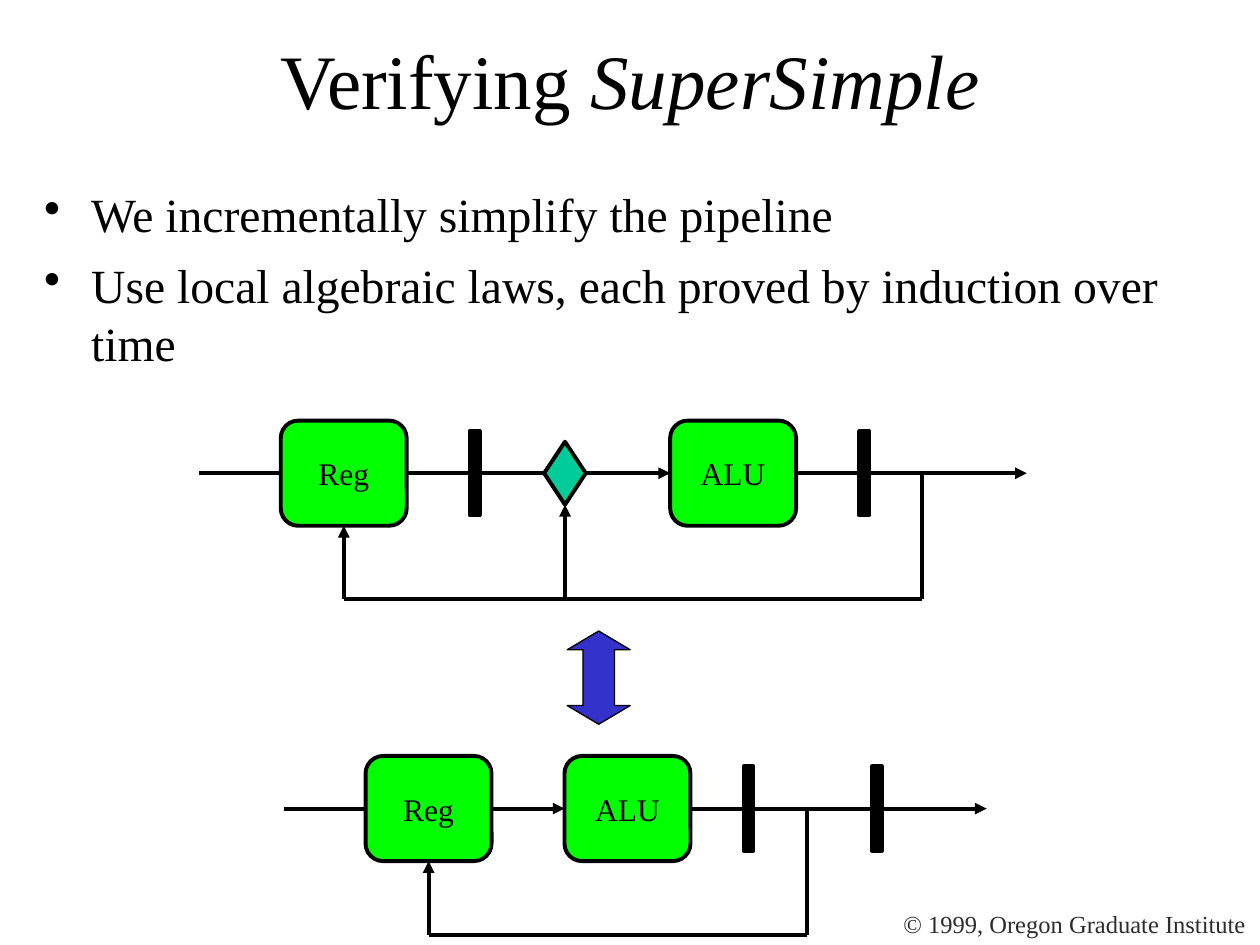
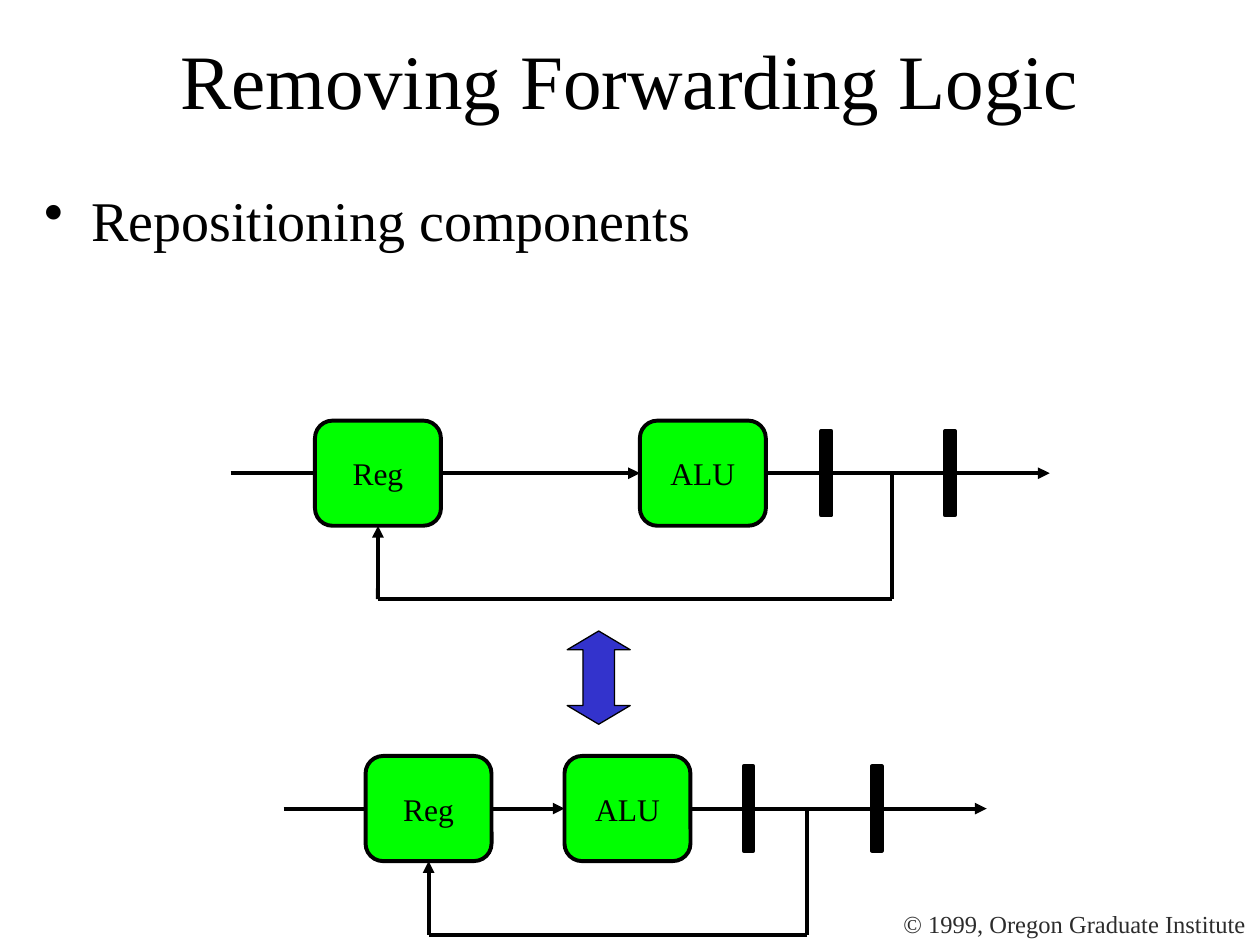
from dataclasses import dataclass

from lxml import etree
from pptx import Presentation
from pptx.dml.color import RGBColor
from pptx.enum.shapes import MSO_CONNECTOR, MSO_SHAPE
from pptx.enum.text import MSO_ANCHOR, MSO_AUTO_SIZE, PP_ALIGN
from pptx.oxml.ns import qn
from pptx.util import Cm, Pt

STRAIGHT = MSO_CONNECTOR.STRAIGHT
ROUNDED, RECTANGLE = MSO_SHAPE.ROUNDED_RECTANGLE, MSO_SHAPE.RECTANGLE
DIAMOND, DOUBLE_ARROW = MSO_SHAPE.DIAMOND, MSO_SHAPE.LEFT_RIGHT_ARROW
TOP, MIDDLE = MSO_ANCHOR.TOP, MSO_ANCHOR.MIDDLE
LEFT, CENTER = PP_ALIGN.LEFT, PP_ALIGN.CENTER
FIT_SHAPE = MSO_AUTO_SIZE.SHAPE_TO_FIT_TEXT
LEFT_SIDE, BOTTOM_SIDE, RIGHT_SIDE = 1, 2, 3

# Lengths in centimetres
SLIDE_W, SLIDE_H = 25.4, 19.05
UPPER_AXIS, LOWER_AXIS = 9.54, 16.3
UNIT_W, UNIT_H = 2.54, 2.12
LATCH_W, LATCH_H = 0.2, 1.7
MUX_W, MUX_H = 0.84, 1.27
FEEDBACK_DROP = 2.54
BULLET_INDENT = 0.95


@dataclass(frozen=True)
class Theme:
    font: str = "Times New Roman"
    ink: str = "000000"
    footer_ink: str = "2C2C2C"
    unit: str = "01FF01"
    mux: str = "00CC99"
    equivalence: str = "3333CC"
    title_size: float = 44
    body_size: float = 32
    small_body_size: float = 27.2
    label_size: float = 18
    footer_size: float = 14
    wire: float = 2.25
    thin: float = 0.75


def add_bullet(paragraph, color):
    properties = paragraph._p.get_or_add_pPr()
    properties.set("marL", str(Cm(BULLET_INDENT)))
    properties.set("indent", str(-Cm(BULLET_INDENT)))
    bullet_color = etree.SubElement(properties, qn("a:buClr"))
    etree.SubElement(bullet_color, qn("a:srgbClr"), val=color)
    etree.SubElement(properties, qn("a:buChar"), char="•")


class Deck:
    def __init__(self, theme):
        self.theme = theme
        self.presentation = Presentation()
        self.presentation.slide_width = Cm(SLIDE_W)
        self.presentation.slide_height = Cm(SLIDE_H)
        self.slide = None

    def new_slide(self, title, points, body_size):
        blank = self.presentation.slide_layouts[6]
        self.slide = self.presentation.slides.add_slide(blank)
        theme = self.theme
        footer = self.text_box(17.96, 18.21, 7.42, 0.86,
                               ["© 1999, Oregon Graduate Institute"], wrap=False,
                               size=theme.footer_size, color=theme.footer_ink)
        footer.text_frame.auto_size = FIT_SHAPE
        self.text_box(1.9, 0, 21.6, 3.18, [title], size=theme.title_size,
                      align=CENTER, anchor=MIDDLE)
        self.text_box(0.64, 3.61, 24.13, 4.24, points, size=body_size,
                      bullets=True, gap=8)

    def set_text(self, frame, paragraphs, *, size, color=None, align=LEFT,
                 anchor=TOP, wrap=True, bullets=False, gap=0):
        """Fill a frame; a paragraph is a string or a list of (text, italic) runs."""
        color = color or self.theme.ink
        frame.word_wrap = wrap
        frame.vertical_anchor = anchor
        for index, content in enumerate(paragraphs):
            paragraph = frame.add_paragraph() if index else frame.paragraphs[0]
            if bullets:
                add_bullet(paragraph, color)
            paragraph.alignment = align
            paragraph.space_before = Pt(gap if index else 0)
            runs = [(content, False)] if isinstance(content, str) else content
            for words, italic in runs:
                run = paragraph.add_run()
                run.text = words
                run.font.name = self.theme.font
                run.font.size = Pt(size)
                run.font.italic = italic
                run.font.color.rgb = RGBColor.from_string(color)

    def text_box(self, left, top, width, height, paragraphs, **text_format):
        box = self.slide.shapes.add_textbox(Cm(left), Cm(top), Cm(width), Cm(height))
        self.set_text(box.text_frame, paragraphs, **text_format)
        return box

    def shape(self, kind, left, middle, width, height, fill, line=None):
        """Add a preset shape whose vertical centre is at middle."""
        shape = self.slide.shapes.add_shape(
            kind, Cm(left), Cm(middle - height / 2), Cm(width), Cm(height))
        shape.shadow.inherit = False
        shape.fill.solid()
        shape.fill.fore_color.rgb = RGBColor.from_string(fill)
        shape.line.color.rgb = RGBColor.from_string(self.theme.ink)
        shape.line.width = Pt(line or self.theme.wire)
        return shape

    def unit(self, label, left, axis):
        unit = self.shape(ROUNDED, left, axis, UNIT_W, UNIT_H, self.theme.unit)
        unit.adjustments[0] = 0.167
        self.set_text(unit.text_frame, [label], size=self.theme.label_size,
                      align=CENTER, anchor=MIDDLE, wrap=False)
        return unit

    def wire(self, start, end, arrow=False):
        wire = self.slide.shapes.add_connector(
            STRAIGHT, *(Cm(value) for value in (*start, *end)))
        wire.line.color.rgb = RGBColor.from_string(self.theme.ink)
        wire.line.width = Pt(self.theme.wire)
        properties = wire._element.spPr
        if arrow:
            etree.SubElement(properties.find(qn("a:ln")), qn("a:tailEnd"), type="triangle")
        etree.SubElement(properties, qn("a:effectLst"))
        return wire

    def pipeline(self, axis, *, start, reg, alu, latches, tap, end, mux=None):
        """Draw a pipeline along axis; the other values are x positions."""
        feedback = axis + FEEDBACK_DROP
        reg_center = reg + UNIT_W / 2
        feed = self.wire((start, axis), (alu, axis), arrow=True)
        reg_unit = self.unit("Reg", reg, axis)
        alu_unit = self.unit("ALU", alu, axis)
        feed.end_connect(alu_unit, LEFT_SIDE)
        result = self.wire((alu + UNIT_W, axis), (end, axis), arrow=True)
        result.begin_connect(alu_unit, RIGHT_SIDE)
        for latch in latches:
            self.shape(RECTANGLE, latch, axis, LATCH_W, LATCH_H, self.theme.ink)

        self.wire((tap, feedback), (tap, axis))
        self.wire((reg_center, feedback), (tap, feedback))
        targets = [(reg_unit, reg_center, UNIT_H)]
        if mux is not None:
            mux_unit = self.shape(DIAMOND, mux, axis, MUX_W, MUX_H, self.theme.mux)
            targets.append((mux_unit, mux + MUX_W / 2, MUX_H))
        for target, x, height in targets:
            rise = self.wire((x, feedback), (x, axis + height / 2), arrow=True)
            rise.end_connect(target, BOTTOM_SIDE)

    def equivalence(self):
        arrow = self.shape(DOUBLE_ARROW, 11.13, 13.66, 1.88, 1.27,
                           self.theme.equivalence, self.theme.thin)
        arrow.adjustments[0] = 0.5
        arrow.adjustments[1] = 0.297
        arrow.rotation = 270

    def rewrite(self, upper):
        """Show the upper pipeline as equivalent to the simplified one below it."""
        self.pipeline(UPPER_AXIS, **upper)
        self.pipeline(LOWER_AXIS, start=5.72, reg=7.37, alu=11.38,
                      latches=(14.99, 17.58), tap=16.26, end=19.89)
        self.equivalence()


def main():
    theme = Theme()
    deck = Deck(theme)

    deck.new_slide([("Verifying ", False), ("SuperSimple", True)],
                   ["We incrementally simplify the pipeline",
                    "Use local algebraic laws, each proved by induction over time"],
                   theme.small_body_size)
    deck.rewrite(dict(start=4.01, reg=5.66, alu=13.51, latches=(9.47, 17.32),
                      tap=18.59, end=20.7, mux=10.97))

    deck.new_slide("Removing Forwarding Logic", ["Repositioning components"],
                   theme.body_size)
    deck.rewrite(dict(start=4.65, reg=6.35, alu=12.9, latches=(16.56, 19.05),
                      tap=17.98, end=21.16))

    deck.presentation.save("out.pptx")


if __name__ == "__main__":
    main()
